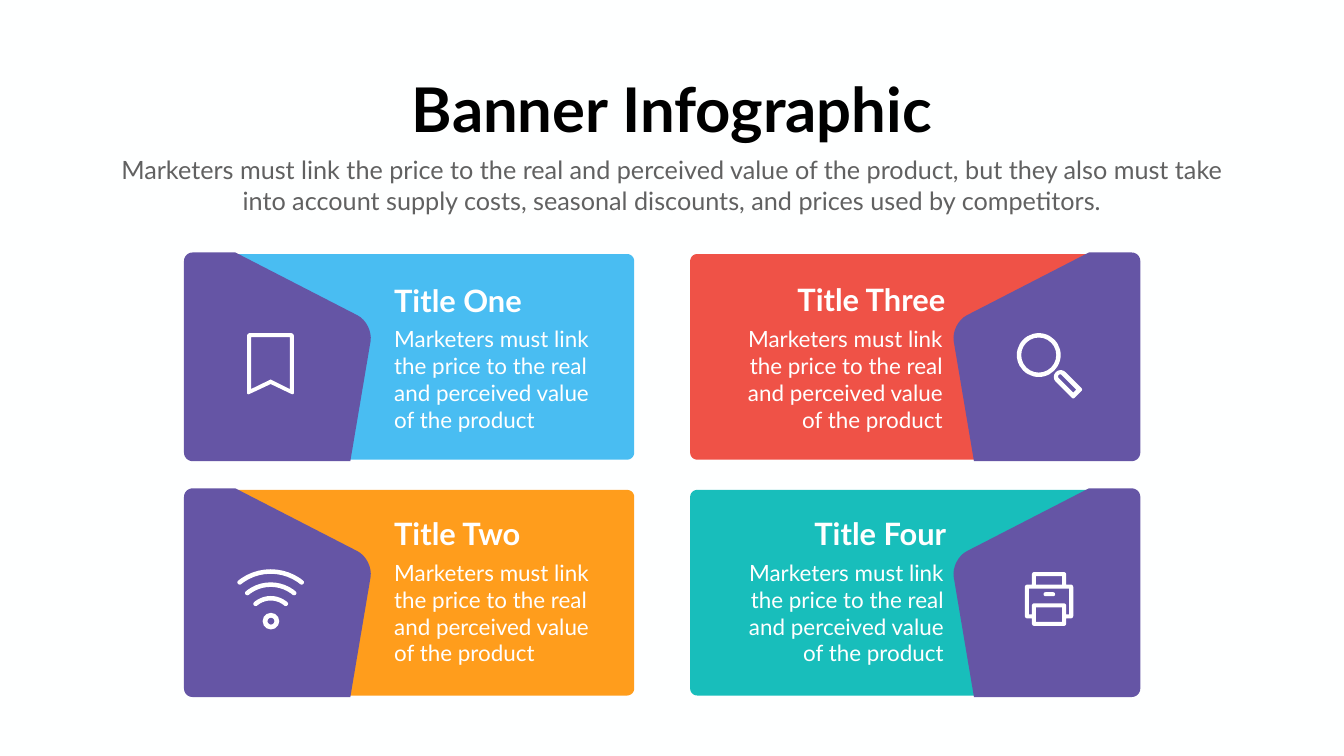
from math import cos, dist, radians, sin

from pptx import Presentation
from pptx.dml.color import RGBColor
from pptx.enum.shapes import MSO_SHAPE
from pptx.enum.text import MSO_ANCHOR, MSO_AUTO_SIZE, PP_ALIGN
from pptx.util import Inches, Pt

LEFT, CENTER, RIGHT = PP_ALIGN.LEFT, PP_ALIGN.CENTER, PP_ALIGN.RIGHT
TOP = MSO_ANCHOR.TOP
GROW = MSO_AUTO_SIZE.SHAPE_TO_FIT_TEXT
DONUT, ROUNDED = MSO_SHAPE.DONUT, MSO_SHAPE.ROUNDED_RECTANGLE

COLORS = {
    "background": "FEFFFF", "title": "000000", "subtitle": "616161",
    "white": "FFFFFF", "purple": "6555A5", "blue": "49BDF2",
    "orange": "FF9D1C", "red": "EF5247", "teal": "18BEBB",
}
FORMATS = {
    "title": {"size": Pt(88), "bold": True, "name": "Lato"},
    "subtitle": {"size": Pt(36), "bold": False, "name": "Lato"},
    "heading": {"size": Pt(44), "bold": True, "name": "Lato"},
    "description": {"size": Pt(32), "bold": False, "name": "Lato"},
}

presentation = Presentation()
presentation.slide_width, presentation.slide_height = Inches(26.66), Inches(15)
slide = presentation.slides.add_slide(presentation.slide_layouts[0])
slide.background.fill.solid()
slide.background.fill.fore_color.rgb = RGBColor.from_string(COLORS["background"])


def draw_outline(contours, color):
    """Fill closed contours of (x, y[, corner length]); later contours are holes."""
    builder = None
    for contour in contours:
        points = []
        for index, (x, y, *corner) in enumerate(contour):
            if not corner:
                points.append((x, y))
                continue
            # Replace the corner by a cubic curve between its two edges
            ends = []
            for neighbor in (contour[index - 1], contour[(index + 1) % len(contour)]):
                share = corner[0] / dist((x, y), neighbor[:2])
                ends.append((x + (neighbor[0] - x) * share, y + (neighbor[1] - y) * share))
            for step in range(9):
                t = step / 8
                u = 1 - t
                start, end = u**3 + 1.35 * u * u * t, t**3 + 1.35 * u * t * t
                middle = 1 - start - end
                points.append(tuple(start * a + middle * b + end * c
                                    for a, b, c in zip(ends[0], (x, y), ends[1])))
        points = [(Inches(x), Inches(y)) for x, y in points]
        if builder is None:
            builder = slide.shapes.build_freeform(*points[0])
        else:
            builder.move_to(*points[0])
        builder.add_line_segments(points[1:], close=True)
    shape = builder.convert_to_shape()
    shape.shadow.inherit = False
    shape.fill.solid()
    shape.fill.fore_color.rgb = RGBColor.from_string(COLORS[color])
    shape.line.fill.background()


def write_text(shape, box, text, style, color, alignment):
    """Place a text shape and format its single paragraph."""
    shape.left, shape.top, shape.width, shape.height = map(Inches, box)
    frame = shape.text_frame
    frame.text = text
    frame.word_wrap = True
    frame.auto_size = GROW
    frame.vertical_anchor = TOP
    paragraph = frame.paragraphs[0]
    paragraph.alignment = alignment
    paragraph.space_before = Pt(0)
    for name, value in FORMATS[style].items():
        setattr(paragraph.font, name, value)
    paragraph.font.color.rgb = RGBColor.from_string(COLORS[color])


# Title and subtitle
write_text(slide.shapes.title, (7.94, 1.36, 10.78, 1.58),
           "Banner Infographic", "title", "title", CENTER)
write_text(slide.placeholders[1], (2.22, 3.02, 22.21, 1.31),
           "Marketers must link the price to the real and perceived value of the product, "
           "but they also must take into account supply costs, seasonal discounts, "
           "and prices used by competitors.", "subtitle", "subtitle", CENTER)

# Banners: the right column mirrors the left one
MIRROR_SUM = 26.27
ROW_STEP = 4.68
PANEL = [(4.66, 5.04), (12.58, 5.04, 0.14), (12.58, 9.12, 0.14),
         (6.92, 9.12), (7.37, 6.43, 0.34)]
FLAP = [(3.65, 5.01, 0.17), (4.67, 5.01), (7.41, 6.42, 0.36),
        (6.95, 9.15), (3.65, 9.15, 0.17)]
DESCRIPTION = "Marketers must link the price to the real and perceived value of the product"

# heading, panel color, row, mirrored, heading box, description left and top
banners = [
    ("Title One", "blue", 0, False, (7.72, 5.54, 2.76, 0.84), (7.72, 6.41)),
    ("Title Two", "orange", 1, False, (7.72, 10.16, 2.97, 0.84), (7.72, 11.04)),
    ("Title Three", "red", 0, True, (15.67, 5.53, 3.18, 0.84), (14.27, 6.41)),
    ("Title Four", "teal", 1, True, (15.69, 10.16, 3.18, 0.84), (14.29, 11.04)),
]
for heading, color, row, mirrored, heading_box, description_at in banners:
    for outline, fill in ((PANEL, color), (FLAP, "purple")):
        placed = [(MIRROR_SUM - x if mirrored else x, y + row * ROW_STEP, *corner)
                  for x, y, *corner in outline]
        draw_outline([placed], fill)
    alignment = RIGHT if mirrored else LEFT
    for box, text, style in ((heading_box, heading, "heading"),
                             ((*description_at, 4.53, 2.26), DESCRIPTION, "description")):
        write_text(slide.shapes.add_textbox(0, 0, 0, 0), box, text, style, "white", alignment)

# Bookmark icon
draw_outline([
    [(4.9, 6.61, 0.06), (5.83, 6.61, 0.06), (5.83, 7.84, 0.05),
     (5.37, 7.62), (4.9, 7.84, 0.05)],
    [(4.98, 6.69), (4.98, 7.72), (5.37, 7.53), (5.75, 7.72), (5.75, 6.69)],
], "white")

# Wireless icon: arcs around the dot
DOT_X, DOT_Y, HALF_BAND, ARC_STEPS = 5.37, 12.33, 0.045, 12
for radius, half_angle in ((0.99, 41), (0.73, 43), (0.46, 46)):
    band = []
    for edge, direction in ((radius + HALF_BAND, 1), (radius - HALF_BAND, -1)):
        for step in range(ARC_STEPS + 1):
            angle = radians(direction * half_angle * (2 * step / ARC_STEPS - 1))
            corner = (HALF_BAND,) if step in (0, ARC_STEPS) else ()
            band.append((DOT_X + edge * sin(angle), DOT_Y - edge * cos(angle), *corner))
    draw_outline([band], "white")

# Magnifier handle
draw_outline([
    [(20.85, 7.48, 0.13), (21.04, 7.29, 0.13), (21.48, 7.73, 0.04), (21.29, 7.92, 0.04)],
    [(20.97, 7.47, 0.04), (21.29, 7.79), (21.35, 7.73), (21.03, 7.41, 0.04)],
], "white")

# Printer body
draw_outline([
    [(20.47, 11.35, 0.05), (21.15, 11.35, 0.05), (21.15, 11.6), (21.29, 11.6, 0.05),
     (21.29, 12.27, 0.05), (21.15, 12.27), (21.15, 12.42, 0.05), (20.47, 12.42, 0.05),
     (20.47, 12.27), (20.33, 12.27, 0.05), (20.33, 11.6, 0.05), (20.47, 11.6)],
    [(20.55, 11.43), (20.55, 11.6), (21.07, 11.6), (21.07, 11.43)],
    [(20.41, 11.68), (20.41, 12.19), (20.47, 12.19), (20.47, 11.97, 0.05),
     (21.15, 11.97, 0.05), (21.15, 12.19), (21.21, 12.19), (21.21, 11.68)],
    [(20.55, 12.05), (20.55, 12.34), (21.07, 12.34), (21.07, 12.05)],
], "white")

# Wireless dot, magnifier lens and printer slot
for preset, box, adjustment in (
    (DONUT, (5.21, 12.16, 0.33, 0.33), 0.29),
    (DONUT, (20.17, 6.61, 0.87, 0.87), 0.1),
    (ROUNDED, (20.7, 11.75, 0.23, 0.08), 0.5),
):
    shape = slide.shapes.add_shape(preset, *map(Inches, box))
    shape.adjustments[0] = adjustment
    shape.shadow.inherit = False
    shape.fill.solid()
    shape.fill.fore_color.rgb = RGBColor.from_string(COLORS["white"])
    shape.line.fill.background()

presentation.save("out.pptx")
